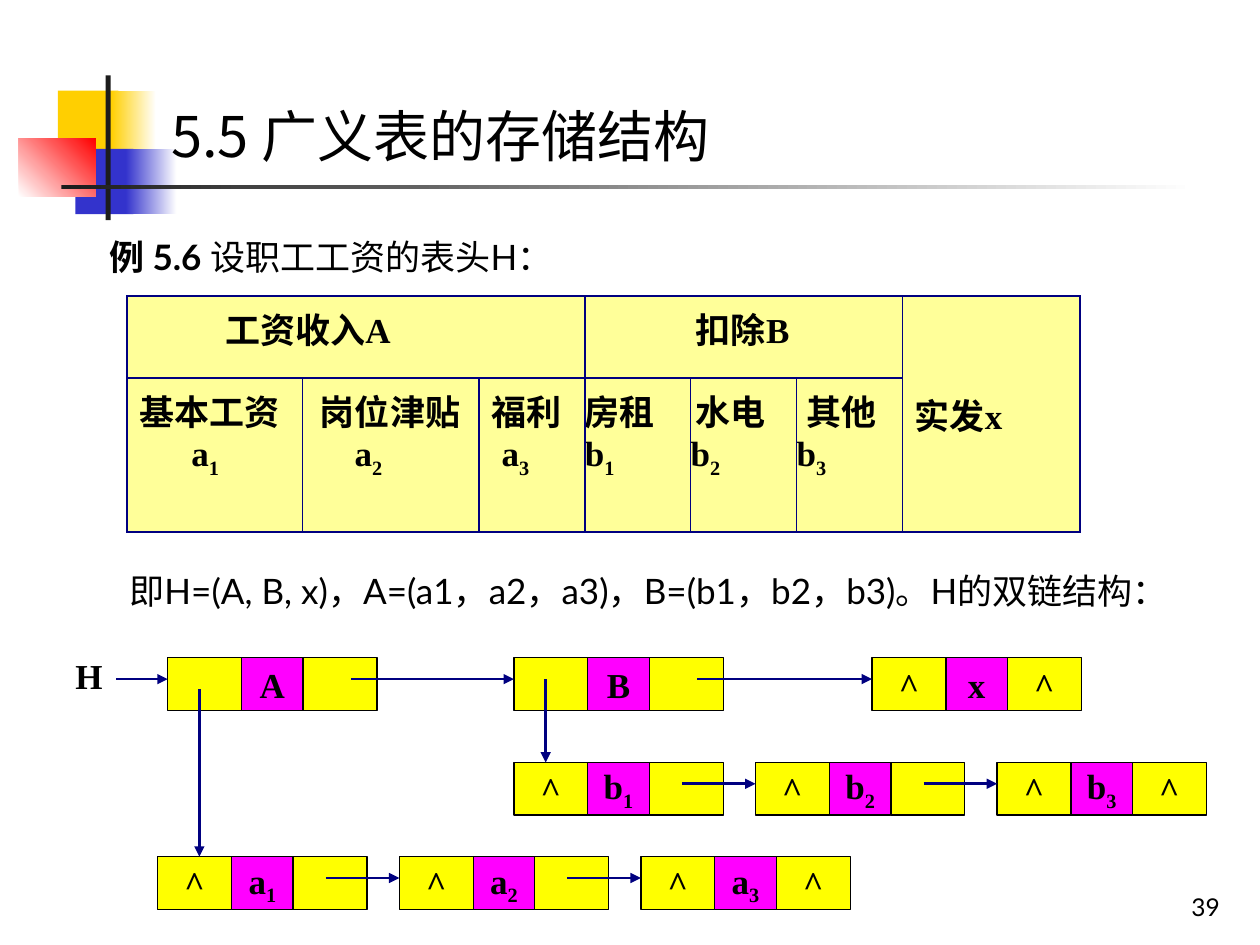
from dataclasses import dataclass
from itertools import pairwise

from lxml import etree
from pptx import Presentation, util as u
from pptx.dml import color
from pptx.enum import shapes, text
from pptx.oxml import ns


@dataclass(frozen=True)
class Theme:
    ink: str = "000000"
    navy: str = "000080"
    table: str = "FFFF99"
    link: str = "FFFF00"
    value: str = "FF00FF"
    gold: str = "FFCF01"
    blue: str = "3333CC"
    red: str = "FF0000"
    dark: str = "1C1C1C"
    white: str = "FFFFFF"
    sans: str = "Lato"
    heading: str = "Noto Sans CJK JP"
    serif: str = "Times New Roman"
    title_size: int = 32
    body_size: int = 20
    number_size: int = 14


THEME = Theme()
SIDE, MIDDLE, NODE_HEIGHT = 1.49, 1.24, 1.06
NODE_STEP = 4.87
LINK_DROP = 0.43
COLUMN_WIDTHS = (3.54, 3.56, 2.13, 2.13, 2.14, 2.13, 3.58)
ROW_HEIGHTS = (1.65, 3.1)
TABLE_HEADS = ((0, 2, "工资收入A", 1.98), (3, 5, "扣除B", 2.24))
TABLE_FIELDS = (
    ("基本工资", 0.25, "a1", 1.3),
    ("岗位津贴", 0.35, "a2", 1.05),
    ("福利", 0.25, "a3", 0.45),
    ("房租", 0, "b1", 0),
    ("水电", 0.1, "b2", 0),
    ("其他", 0.2, "b3", 0),
)


def rgb(value):
    return color.RGBColor.from_string(value)


def style_span(span, font, size, bold=False):
    span.font.name = font
    span.font.size = u.Pt(size)
    span.font.bold = bold
    span.font.color.rgb = rgb(THEME.ink)


def write_label(para, label, indent=0):
    letter, index = (label[0], label[1:]) if label[1:].isdigit() else (label, "")
    para.text = letter
    if index:
        para.add_run().text = index
    for span in para.runs:
        style_span(span, THEME.serif, THEME.body_size, True)
    if index:
        para.runs[1]._r.get_or_add_rPr().set("baseline", "-25000")
    if indent:
        para._p.get_or_add_pPr().set("marL", str(u.Cm(indent)))


def add_text(page, place, parts, font, size, align=text.PP_ALIGN.LEFT):
    box = page.shapes.add_textbox(*map(u.Cm, place))
    box.text_frame.word_wrap = True
    para = box.text_frame.paragraphs[0]
    para.alignment = align
    for words, bold in parts:
        span = para.add_run()
        span.text = words
        style_span(span, font, size, bold)


def add_block(page, place, fill, line=None):
    block = page.shapes.add_shape(shapes.MSO_SHAPE.RECTANGLE, *map(u.Cm, place))
    block.shadow.inherit = False
    block.fill.solid()
    block.fill.fore_color.rgb = rgb(fill)
    if line:
        block.line.color.rgb = rgb(line)
        block.line.width = u.Pt(0.75)
    else:
        block.line.fill.background()
    return block


def add_fade(page, place, start, end, angle=0):
    block = add_block(page, place, start)
    block.fill.gradient()
    block.fill.gradient_angle = angle
    for stop, value in zip(block.fill.gradient_stops, (start, end)):
        stop.color.rgb = rgb(value)


def add_arrow(page, start, end):
    arrow = page.shapes.add_connector(
        shapes.MSO_CONNECTOR.STRAIGHT, *map(u.Cm, (*start, *end)))
    arrow.line.color.rgb = rgb(THEME.navy)
    arrow.line.width = u.Pt(1.5)
    etree.SubElement(arrow.line._get_or_add_ln(), ns.qn("a:tailEnd"), type="triangle")
    etree.SubElement(arrow._element.spPr, ns.qn("a:effectLst"))


def add_node(page, left, top, labels):
    widths = (SIDE, MIDDLE, SIDE)
    fills = (THEME.link, THEME.value, THEME.link)
    for label, width, fill in zip(labels, widths, fills):
        block = add_block(page, (left, top, width, NODE_HEIGHT), fill, THEME.ink)
        if label:
            frame = block.text_frame
            frame.word_wrap = False
            frame.vertical_anchor = text.MSO_ANCHOR.MIDDLE
            write_label(frame.paragraphs[0], label)
            frame.paragraphs[0].alignment = text.PP_ALIGN.CENTER
        left += width


def add_chain(page, lefts, top, values, link_start, parents=()):
    for left, value in zip(lefts, values):
        head = "" if value in parents else "^"
        tail = "^" if value == values[-1] else ""
        add_node(page, left, top, (head, value, tail))
    for left, following in pairwise(lefts):
        add_arrow(page, (left + link_start, top + LINK_DROP), (following, top + LINK_DROP))


def style_cell(cell):
    cell.margin_left = cell.margin_right = 0
    properties = cell._tc.get_or_add_tcPr()
    for edge in ("lnL", "lnR", "lnT", "lnB"):
        line = etree.SubElement(properties, ns.qn(f"a:{edge}"), w=str(u.Pt(1)))
        fill = etree.SubElement(line, ns.qn("a:solidFill"))
        etree.SubElement(fill, ns.qn("a:srgbClr"), val=THEME.navy)
    cell.fill.solid()
    cell.fill.fore_color.rgb = rgb(THEME.table)


def add_wage_table(page):
    table = page.shapes.add_table(
        len(ROW_HEIGHTS), len(COLUMN_WIDTHS), u.Cm(2.56), u.Cm(5.97),
        u.Cm(sum(COLUMN_WIDTHS)), u.Cm(sum(ROW_HEIGHTS))).table
    table.first_row = table.horz_banding = False
    for column, width in zip(table.columns, COLUMN_WIDTHS):
        column.width = u.Cm(width)
    for row, height in zip(table.rows, ROW_HEIGHTS):
        row.height = u.Cm(height)
    for cell in table.iter_cells():
        style_cell(cell)
    for first, last, label, indent in TABLE_HEADS:
        table.cell(0, first).merge(table.cell(0, last))
        write_label(table.cell(0, first).text_frame.paragraphs[0], label, indent)
    for index, (name, name_indent, symbol, symbol_indent) in enumerate(TABLE_FIELDS):
        frame = table.cell(1, index).text_frame
        write_label(frame.paragraphs[0], name, name_indent)
        write_label(frame.add_paragraph(), symbol, symbol_indent)
    total = table.cell(0, 6)
    total.merge(table.cell(1, 6))
    total.vertical_anchor = text.MSO_ANCHOR.MIDDLE
    write_label(total.text_frame.paragraphs[0], "实发x", 0.25)


def add_ornament(page):
    add_block(page, (1.17, 1.83, 1.22, 1.32), THEME.gold)
    add_fade(page, (2.24, 1.83, 0.91, 1.32), THEME.gold, THEME.white)
    add_block(page, (1.52, 3, 1.17, 1.32), THEME.blue)
    add_fade(page, (2.54, 3, 1.02, 1.32), THEME.blue, THEME.white)
    add_fade(page, (0.38, 2.79, 1.55, 1.17), THEME.white, THEME.red, 45)
    add_block(page, (2.13, 1.52, 0.1, 2.92), THEME.dark)
    add_fade(page, (1.24, 3.73, 22.86, 0.08), THEME.dark, THEME.white)


def add_linked_lists(page):
    main_lefts, main_top = (3.38, 10.36, 17.58), 13.26
    a_lefts, a_top = [3.18 + NODE_STEP * i for i in range(3)], 17.27
    b_lefts, b_top = [10.36 + NODE_STEP * i for i in range(3)], 15.37
    add_chain(page, main_lefts, main_top, ("A", "B", "x"), 3.7, ("A", "B"))
    add_chain(page, b_lefts, b_top, ("b1", "b2", "b3"), 3.39)
    add_chain(page, a_lefts, a_top, ("a1", "a2", "a3"), 3.39)
    add_text(page, (1.27, 13.06, 1.07, 1.12), [("H", True)], THEME.serif, THEME.body_size)
    add_arrow(page, (2.34, main_top + LINK_DROP), (main_lefts[0], main_top + LINK_DROP))
    add_arrow(page, (4.02, 13.89), (4.02, a_top))
    add_arrow(page, (11, main_top + LINK_DROP), (11, b_top))


def main():
    deck = Presentation()
    deck.slide_width, deck.slide_height = u.Cm(25.4), u.Cm(19.05)
    page = deck.slides.add_slide(deck.slide_layouts[6])
    add_ornament(page)
    add_text(page, (3.2, 1.93, 22.2, 1.63), [("5.5 广义表的存储结构", False)],
             THEME.heading, THEME.title_size)
    add_text(page, (1.96, 4.62, 14.81, 1.12),
             [("例 5.6 ", True), ("设职工工资的表头H：", False)], THEME.sans, THEME.body_size)
    add_wage_table(page)
    add_text(page, (2.36, 11.35, 22.43, 1.96),
             [("即H=(A, B, x)，A=(a1，a2，a3)，B=(b1，b2，b3)。H的双链结构：", False)],
             THEME.sans, THEME.body_size)
    add_linked_lists(page)
    add_text(page, (19.56, 17.85, 5.28, 0.8), [("39", False)],
             THEME.sans, THEME.number_size, text.PP_ALIGN.RIGHT)
    deck.save("out.pptx")


if __name__ == "__main__":
    main()
